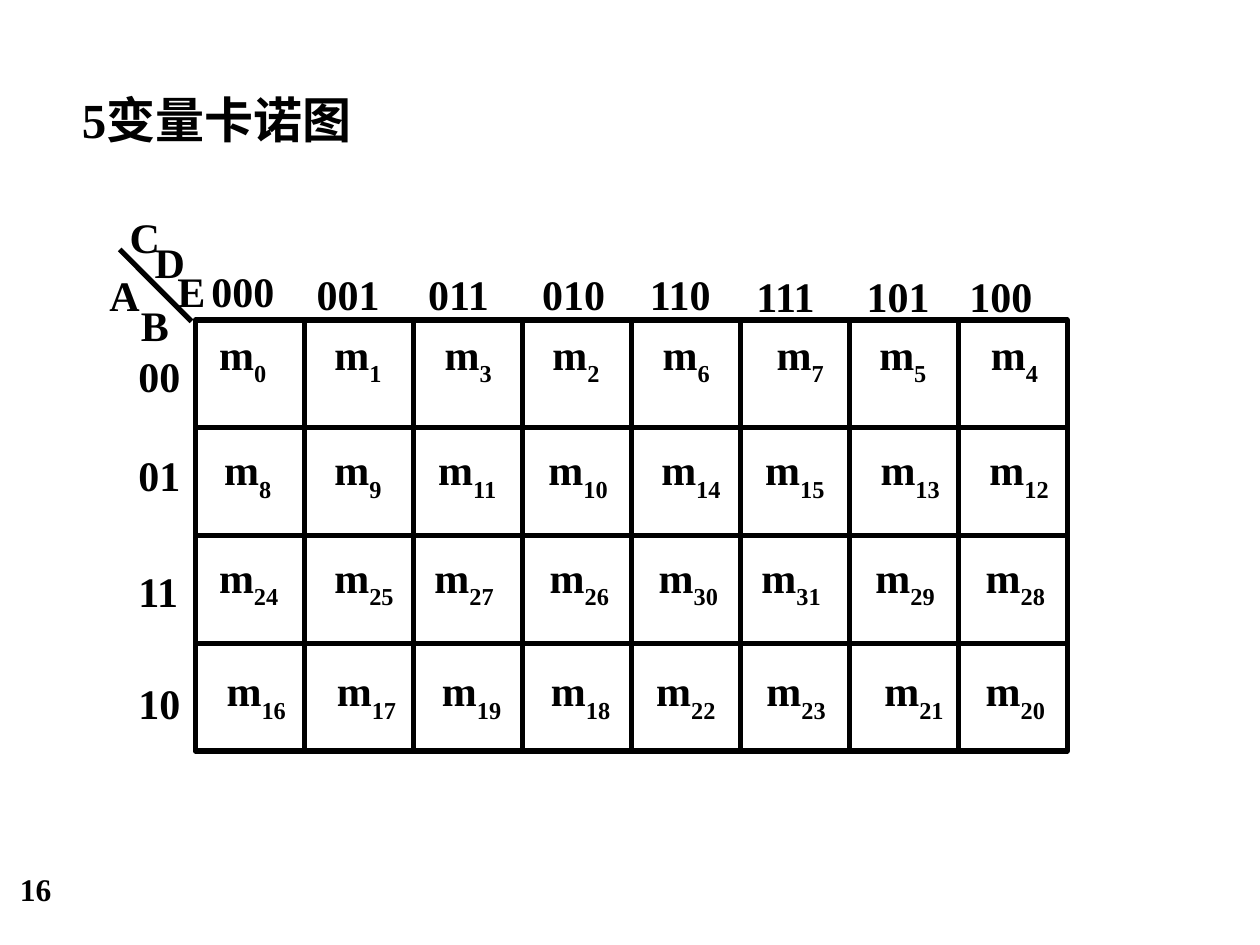
"""Build a slide with a five-variable Karnaugh map."""
from pptx import Presentation
from pptx.dml.color import RGBColor
from pptx.enum.shapes import MSO_CONNECTOR, MSO_SHAPE
from pptx.enum.text import MSO_ANCHOR, MSO_AUTO_SIZE, PP_ALIGN
from pptx.oxml import parse_xml
from pptx.oxml.ns import nsdecls
from pptx.util import Inches, Pt

INK = "000000"
FACE = "Times New Roman"
LEFT, TOP, WIDE, HIGH = 1.55, 2.54, 0.865, 0.855
FRAME = {"word_wrap": True, "auto_size": MSO_AUTO_SIZE.NONE,
         "vertical_anchor": MSO_ANCHOR.MIDDLE}


def tint(color, code):
    """Give a colour format its hex value."""
    color.rgb = RGBColor.from_string(code)


def write(box, text, size=24, sub="", **para):
    """Fill a box with bold text and an optional subscript."""
    frame = box.text_frame
    for name, value in FRAME.items():
        setattr(frame, name, value)
    line = frame.paragraphs[0]
    for name, value in para.items():
        setattr(line, name, value)
    for part in filter(None, (text, sub)):
        run = line.add_run()
        run.text = part
        for name, value in {"name": FACE, "size": Pt(size), "bold": True}.items():
            setattr(run.font, name, value)
        tint(run.font.color, INK)
    if sub:
        run._r.get_or_add_rPr().set("baseline", "-30000")


deck = Presentation()
deck.slide_width, deck.slide_height = Inches(10), Inches(7.5)
slide = deck.slides.add_slide(deck.slide_layouts[5])
shapes = slide.shapes

title = shapes.title
place = {"left": 0.55, "top": 0.65, "width": 2.67, "height": 0.58}
for name, value in place.items():
    setattr(title, name, Inches(value))
write(title, "5变量卡诺图", 28, alignment=PP_ALIGN.LEFT)

gray = [n ^ n >> 1 for n in range(8)]
for row in range(4):
    for col in range(8):
        spot = LEFT + col * WIDE, TOP + row * HIGH, WIDE, HIGH
        cell = shapes.add_shape(MSO_SHAPE.RECTANGLE, *map(Inches, spot))
        cell.shadow.inherit = False
        cell.fill.background()
        tint(cell.line.color, INK)
        cell.line.width = Pt(3)

slant = shapes.add_connector(
    MSO_CONNECTOR.STRAIGHT, *map(Inches, (1.52, 2.55, 0.95, 1.98)))
tint(slant.line.color, INK)
slant.line.width = Pt(3)
slant._element.spPr.append(parse_xml(f"<a:effectLst {nsdecls('a')}/>"))

labels = [("C", 0.93, 1.63, 0.47), ("D", 1.13, 1.83, 0.47), ("E", 1.31, 2.06, 0.47),
          ("A", 0.77, 2.09, 0.47), ("B", 1.02, 2.33, 0.47)]
heads = zip(gray, (0.03, 0, 0.02, 0.06, 0.05, 0.03, 0.04, -0.01),
            (2.06, 2.08, 2.08, 2.08, 2.08, 2.1, 2.1, 2.1))
for col, (code, shift, top) in enumerate(heads):
    labels.append((f"{code:03b}", LEFT + col * WIDE + shift, top, 0.87))
for code, top in zip(gray, (2.73, 3.52, 4.44, 5.33)):
    labels.append((f"{code:02b}", 1, top, 0.63))
for text, left, top, width in labels:
    box = shapes.add_textbox(*map(Inches, (left, top, width, 0.5)))
    write(box, text, space_before=Pt(2))

tops = 2.59, 3.51, 4.36, 5.26
shifts = [(0.09, 0.14, 0.15, 0.14, 0.15, 0.19, 0.14, 0.16),
          (0.13, 0.14, 0.1, 0.11, 0.14, 0.1, 0.15, 0.15),
          (0.09, 0.14, 0.07, 0.12, 0.12, 0.07, 0.11, 0.12),
          (0.15, 0.16, 0.13, 0.13, 0.1, 0.11, 0.18, 0.12)]
for row, (top, line) in enumerate(zip(tops, shifts)):
    for col, shift in enumerate(line):
        term = gray[row] * 8 + gray[col]
        width = 0.68 if term < 10 else 0.8
        spot = LEFT + col * WIDE + shift, top, width, 0.5
        write(shapes.add_textbox(*map(Inches, spot)), "m", sub=str(term))

page = shapes.add_textbox(*map(Inches, (0.06, 6.87, 0.99, 0.37)))
write(page, "16", 18)

deck.save("out.pptx")
